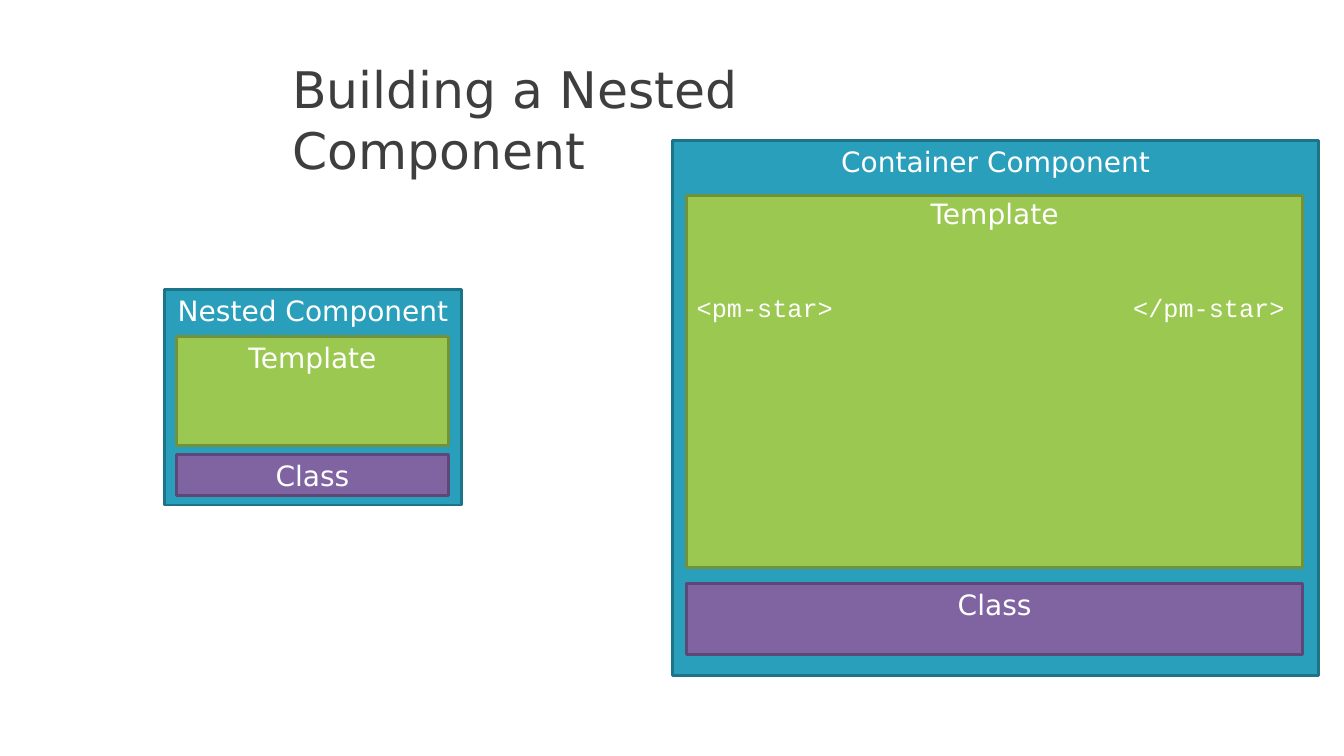
from lxml import etree
from pptx import Presentation
from pptx.dml.color import RGBColor
from pptx.enum import shapes, text
from pptx.oxml.ns import qn
from pptx.util import Inches, Pt

SANS, MONO = "DejaVu Sans", "Courier New"
WHITE, CHARCOAL = "FFFFFF", "3E3E3E"
TEAL = ("2A9FBC", "1C7489")
GREEN = ("9BC850", "719238")
PURPLE = ("8064A2", "5C4776")


def color(value):
    """Return the colour for a hex string."""
    return RGBColor.from_string(value)


def write(shape, words, size=20, font=SANS, ink=WHITE, align=text.PP_ALIGN.CENTER,
          inset=0.04, before=2.8):
    """Write one formatted paragraph at the top of a shape and return it."""
    frame = shape.text_frame
    frame.word_wrap = True
    frame.auto_size = text.MSO_AUTO_SIZE.NONE
    frame.vertical_anchor = text.MSO_ANCHOR.TOP
    frame.margin_left = frame.margin_right = frame.margin_bottom = 0
    frame.margin_top = Inches(inset)
    paragraph = frame.paragraphs[0]
    paragraph.alignment = align
    paragraph.space_before = Pt(before)
    run = paragraph.add_run()
    run.text = words
    run.font.size = Pt(size)
    run.font.name = font
    run.font.color.rgb = color(ink)
    return paragraph


def add_title(slide, words):
    """Place the slide title."""
    title = slide.shapes.title
    title.left, title.top = Inches(2.9), Inches(0.57)
    title.width, title.height = Inches(7.43), Inches(0.63)
    write(title, words, size=36, ink=CHARCOAL, align=text.PP_ALIGN.LEFT,
          inset=0.01, before=1)


def add_block(slide, label, bounds, colors, **style):
    """Draw an outlined rectangle with a label at its top."""
    block = slide.shapes.add_shape(shapes.MSO_SHAPE.RECTANGLE, *map(Inches, bounds))
    fill, outline = colors
    block.shadow.inherit = False
    block.fill.solid()
    block.fill.fore_color.rgb = color(fill)
    block.line.color.rgb = color(outline)
    block.line.width = Pt(2.04)
    write(block, label, **style)


def add_component(slide, name, frame, inner, template, class_part, template_inset=0.04):
    """Draw a component holding a template and a class."""
    left, width = inner
    add_block(slide, name, frame, TEAL)
    for label, (top, height), colors, inset in (
            ("Class", class_part, PURPLE, 0.04),
            ("Template", template, GREEN, template_inset)):
        add_block(slide, label, (left, top, width, height), colors, inset=inset)


def add_tags(slide, opening, closing, bounds, tab):
    """Write an opening and a closing tag parted by a tab stop."""
    tags = slide.shapes.add_textbox(*map(Inches, bounds))
    paragraph = write(tags, f"{opening}\t{closing}", size=18, font=MONO,
                      align=text.PP_ALIGN.LEFT, inset=0.01, before=1)
    stops = etree.SubElement(paragraph._p.get_or_add_pPr(), qn("a:tabLst"))
    etree.SubElement(stops, qn("a:tab"), pos=str(Inches(tab)), algn="l")


def main():
    """Build and save the slide."""
    deck = Presentation()
    deck.slide_width, deck.slide_height = Inches(13.33), Inches(7.5)
    slide = deck.slides.add_slide(deck.slide_layouts[5])
    add_title(slide, "Building a Nested Component")
    add_component(slide, "Container Component", frame=(6.67, 1.39, 6.41, 5.31),
                  inner=(6.81, 6.11), template=(1.94, 3.69), class_part=(5.79, 0.7),
                  template_inset=0.01)
    add_tags(slide, "<pm-star>", "</pm-star>", (6.91, 2.89, 5.84, 0.33), tab=4.33)
    add_component(slide, "Nested Component", frame=(1.63, 2.87, 2.95, 2.14),
                  inner=(1.75, 2.7), template=(3.34, 1.08), class_part=(4.51, 0.41))
    deck.save("out.pptx")


main()
